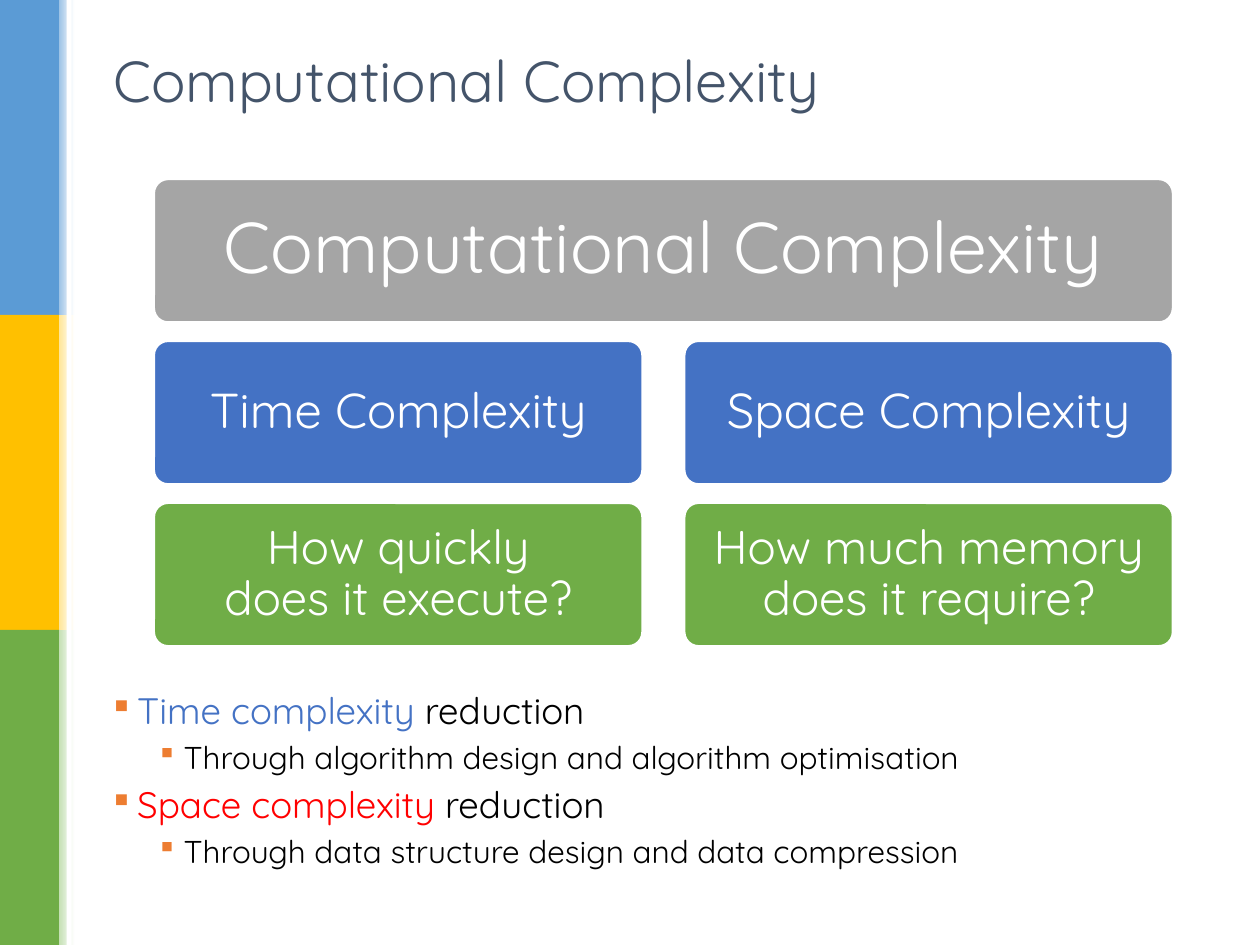
from lxml.etree import SubElement
from pptx import Presentation
from pptx.dml.color import RGBColor
from pptx.enum.shapes import MSO_SHAPE
from pptx.enum.text import MSO_ANCHOR, PP_ALIGN
from pptx.oxml.ns import qn
from pptx.util import Inches, Pt

FONT = "Quicksand"
WHITE = RGBColor(0xFF, 0xFF, 0xFF)
BLACK = RGBColor(0x00, 0x00, 0x00)
RED = RGBColor(0xFF, 0x00, 0x00)
SLATE = RGBColor(0x44, 0x54, 0x6A)
GRAY = RGBColor(0xA5, 0xA5, 0xA5)
BLUE = RGBColor(0x44, 0x72, 0xC4)
GREEN = RGBColor(0x70, 0xAD, 0x47)
GOLD = RGBColor(0xFF, 0xC0, 0x00)
SKY = RGBColor(0x5B, 0x9B, 0xD5)
PALE_SKY = RGBColor(0x9D, 0xC3, 0xE6)
PALE_GOLD = RGBColor(0xFF, 0xE6, 0x99)
PALE_GREEN = RGBColor(0xC5, 0xE0, 0xB4)
ORANGE = RGBColor(0xED, 0x7D, 0x31)


def add_text(p, text, size=18, color=BLACK, align=PP_ALIGN.LEFT, spacing=0.9):
    p.alignment = align
    p.line_spacing = spacing
    for i, line in enumerate(text.split("\n")):
        if i:
            p.add_line_break()
        r = p.add_run()
        r.text = line
        r.font.name = FONT
        r.font.size = Pt(size)
        r.font.color.rgb = color


def add_box(s, kind, left, top, width, height, color=WHITE):
    sp = s.shapes.add_shape(kind, Inches(left), Inches(top), Inches(width), Inches(height))
    sp.shadow.inherit = False
    sp.fill.solid()
    sp.fill.fore_color.rgb = color
    sp.line.fill.background()
    return sp


prs = Presentation()
prs.slide_width = Inches(10)
prs.slide_height = Inches(7.5)
s = prs.slides.add_slide(prs.slide_layouts[5])

bands = [(SKY, PALE_SKY), (GOLD, PALE_GOLD), (GREEN, PALE_GREEN)]
for i, (color, pale) in enumerate(bands):
    add_box(s, MSO_SHAPE.RECTANGLE, 0, 2.5 * i, 0.47, 2.5, color)
    fade = add_box(s, MSO_SHAPE.RECTANGLE, 0.47, 2.5 * i, 0.12, 2.5)
    fade.fill.gradient()
    fade.fill.gradient_angle = 0
    for stop, stop_color in zip(fade.fill.gradient_stops, (pale, WHITE)):
        stop.color.rgb = stop_color
add_box(s, MSO_SHAPE.RECTANGLE, 0.53, 0, 0.04, 7.5)

title = s.shapes.title
title.left, title.top = Inches(0.8), Inches(0.3)
title.width, title.height = Inches(8.52), Inches(0.66)
title.text_frame.vertical_anchor = MSO_ANCHOR.MIDDLE
add_text(title.text_frame.paragraphs[0], "Computational Complexity", size=33, color=SLATE, spacing=1)

LEFT, RIGHT, HALF, FULL = 1.22, 5.43, 3.88, 8.09
cards = [
    (0, LEFT, FULL, GRAY, "Computational Complexity", 41, 0.17),
    (1, LEFT, HALF, BLUE, "Time Complexity", 28, 0.12),
    (1, RIGHT, HALF, BLUE, "Space Complexity", 28, 0.12),
    (2, LEFT, HALF, GREEN, "How quickly\ndoes it execute?", 27, 0.11),
    (2, RIGHT, HALF, GREEN, "How much memory does it require?", 27, 0.11),
]
for row, left, width, color, text, size, inset in cards:
    sp = add_box(s, MSO_SHAPE.ROUNDED_RECTANGLE, left, 1.42 + 1.285 * row, width, 1.14, color)
    sp.adjustments[0] = 0.1
    sp.line.color.rgb = WHITE
    sp.line.width = Pt(1.5)
    tf = sp.text_frame
    tf.word_wrap = True
    tf.vertical_anchor = MSO_ANCHOR.MIDDLE
    tf.margin_left = tf.margin_right = tf.margin_top = tf.margin_bottom = Inches(inset)
    add_text(tf.paragraphs[0], text, size=size, color=WHITE, align=PP_ALIGN.CENTER)

body = s.shapes.add_textbox(Inches(0.8), Inches(5.45), Inches(8.82), Inches(1.69))
tf = body.text_frame
tf.word_wrap = True
points = [
    (0, [("Time complexity", BLUE), (" reduction", BLACK)]),
    (1, [("Through algorithm design and algorithm optimisation", BLACK)]),
    (0, [("Space complexity", RED), (" reduction", BLACK)]),
    (1, [("Through data structure design and data compression", BLACK)]),
]
for i, (level, runs) in enumerate(points):
    p = tf.add_paragraph() if i else tf.paragraphs[0]
    p.level = level
    size = 18 if level else 21
    if i:
        p.space_before = Pt(0.3 * size)
    pPr = p._p.get_or_add_pPr()
    pPr.set("marL", str(Inches(0.56 if level else 0.19)))
    pPr.set("indent", str(Inches(-0.19)))
    bullet_color = SubElement(pPr, qn("a:buClr"))
    SubElement(bullet_color, qn("a:srgbClr"), val=str(ORANGE))
    SubElement(pPr, qn("a:buFont"), typeface="Wingdings", charset="2")
    SubElement(pPr, qn("a:buChar"), char="§")
    for text, color in runs:
        add_text(p, text, size=size, color=color)

prs.save("out.pptx")
